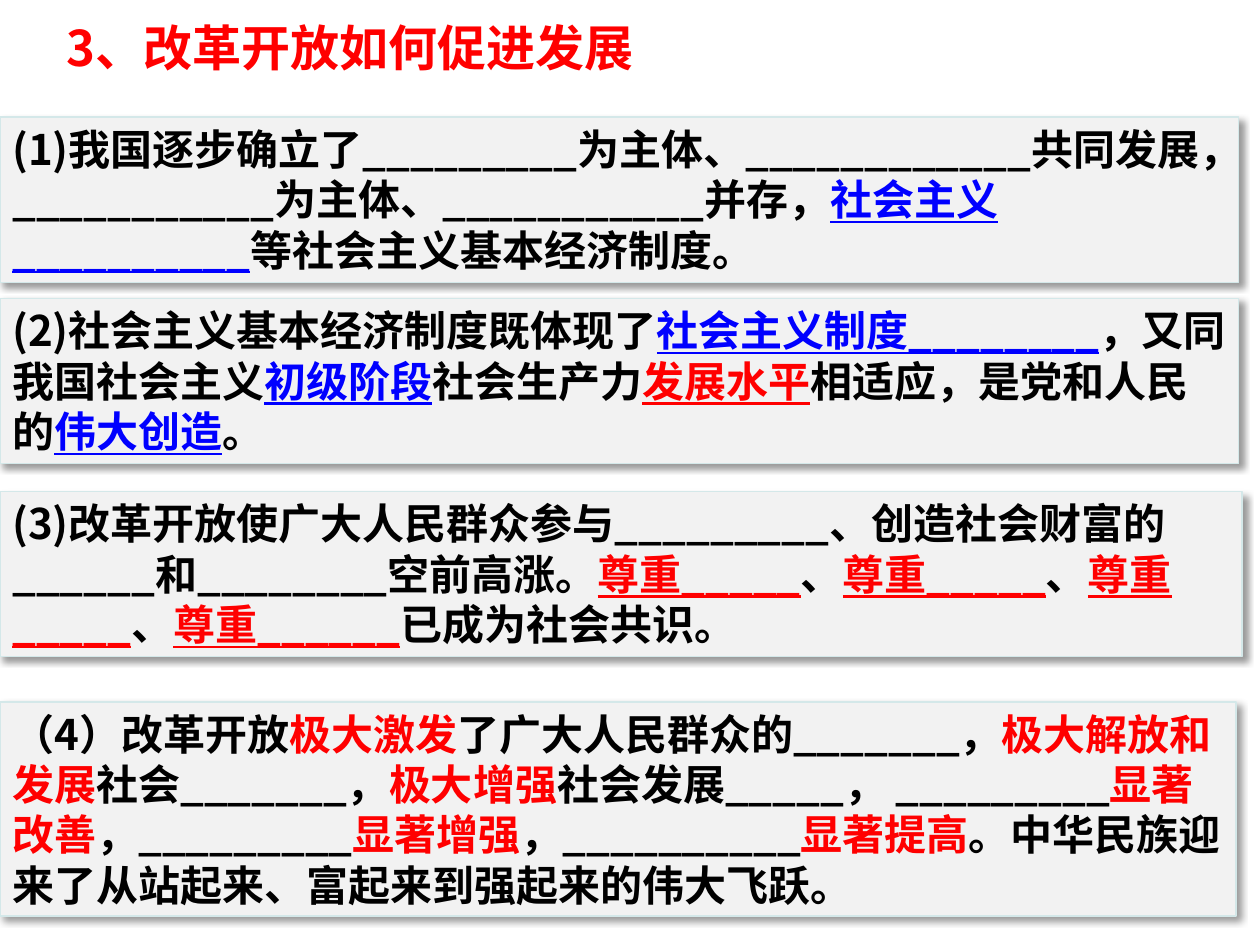
import pptx
import pptx.util
import pptx.dml.color
import pptx.enum.shapes
import pptx.enum.text
import pptx.oxml
import pptx.oxml.ns
from dataclasses import dataclass

Cm = pptx.util.Cm
Pt = pptx.util.Pt
RGB = pptx.dml.color.RGBColor.from_string
Align = pptx.enum.text.PP_ALIGN
Anchor = pptx.enum.text.MSO_ANCHOR


@dataclass(frozen=True)
class Theme:
    font: str = "Noto Sans CJK SC"
    title_size: float = 28
    body_size: float = 24
    line_pitch: float = 28.8
    border_width: float = 0.75
    panel: str = "F2F2F2"
    border: str = "D4E8E9"
    black: str = "000000"
    blue: str = "0000FF"
    red: str = "FF0000"


THEME = Theme()
PLAIN = (THEME.black, False)
RED = (THEME.red, False)
RED_LINE = (THEME.red, True)
BLUE_LINE = (THEME.blue, True)

PANELS = [
    ((0, 2.36, 24.97, 3.33), [
        ("(1)我国逐步确立了_________为主体、____________共同发展，"
         "___________为主体、___________并存，", PLAIN),
        ("社会主义__________", BLUE_LINE),
        ("等社会主义基本经济制度。", PLAIN),
    ]),
    ((0, 6.02, 24.97, 3.33), [
        ("(2)社会主义基本经济制度既体现了", PLAIN),
        ("社会主义制度________", BLUE_LINE),
        ("，又同我国社会主义", PLAIN),
        ("初级阶段", BLUE_LINE),
        ("社会生产力", PLAIN),
        ("发展水平", RED_LINE),
        ("相适应，是党和人民的", PLAIN),
        ("伟大创造", BLUE_LINE),
        ("。", PLAIN),
    ]),
    ((0, 9.91, 25.04, 3.33), [
        ("(3)改革开放使广大人民群众参与_________、创造社会财富的"
         "______和________空前高涨。", PLAIN),
        ("尊重_____", RED_LINE),
        ("、", PLAIN),
        ("尊重_____", RED_LINE),
        ("、", PLAIN),
        ("尊重_____", RED_LINE),
        ("、", PLAIN),
        ("尊重______", RED_LINE),
        ("已成为社会共识。", PLAIN),
    ]),
    ((0, 14.15, 24.92, 4.32), [
        ("（4）改革开放", PLAIN),
        ("极大激发", RED),
        ("了广大人民群众的_______，", PLAIN),
        ("极大解放和发展", RED),
        ("社会_______，", PLAIN),
        ("极大增强", RED),
        ("社会发展_____， _________", PLAIN),
        ("显著改善", RED),
        ("，_________", PLAIN),
        ("显著增强", RED),
        ("，__________", PLAIN),
        ("显著提高", RED),
        ("。中华民族迎来了从站起来、富起来到强起来的伟大飞跃。", PLAIN),
    ]),
]


class Deck:
    def __init__(self, theme):
        self.theme = theme
        self.prs = pptx.Presentation()
        self.prs.slide_width = Cm(25.4)
        self.prs.slide_height = Cm(19.05)
        self.s = self.prs.slides.add_slide(self.prs.slide_layouts[5])

    def apply(self, target, formats):
        for name, value in formats.items():
            setattr(target, name, value)

    def run(self, p, text, size, color, underline=False):
        r = p.add_run()
        r.text = text
        self.apply(r.font, {"name": self.theme.font, "size": Pt(size),
                            "bold": True, "underline": underline})
        r.font.color.rgb = RGB(color)
        ea = pptx.oxml.parse_xml(
            f'<a:ea {pptx.oxml.ns.nsdecls("a")} typeface="{self.theme.font}"/>')
        r.font._element.find(pptx.oxml.ns.qn("a:latin")).addnext(ea)

    def title(self, text, left, top, width, height):
        sp = self.s.shapes.title
        self.apply(sp, {"left": Cm(left), "top": Cm(top),
                        "width": Cm(width), "height": Cm(height)})
        tf = sp.text_frame
        self.apply(tf, {"word_wrap": True, "vertical_anchor": Anchor.MIDDLE})
        p = tf.paragraphs[0]
        p.alignment = Align.CENTER
        self.run(p, text, self.theme.title_size, self.theme.red)

    def shadow(self, sp):
        sp.shadow.inherit = False
        effects = sp._element.spPr.find(pptx.oxml.ns.qn("a:effectLst"))
        effects.append(pptx.oxml.parse_xml(
            f'<a:outerShdw {pptx.oxml.ns.nsdecls("a")} blurRad="{Pt(4)}" '
            f'dist="{Pt(3)}" dir="2700000" algn="tl" rotWithShape="0">'
            f'<a:srgbClr val="{self.theme.black}"><a:alpha val="40000"/>'
            '</a:srgbClr></a:outerShdw>'))

    def panel(self, box, pieces):
        sp = self.s.shapes.add_shape(
            pptx.enum.shapes.MSO_SHAPE.RECTANGLE, *map(Cm, box))
        sp.fill.solid()
        sp.fill.fore_color.rgb = RGB(self.theme.panel)
        sp.line.color.rgb = RGB(self.theme.border)
        sp.line.width = Pt(self.theme.border_width)
        self.shadow(sp)
        tf = sp.text_frame
        self.apply(tf, {"word_wrap": True, "vertical_anchor": Anchor.TOP})
        p = tf.paragraphs[0]
        self.apply(p, {"alignment": Align.LEFT,
                       "line_spacing": Pt(self.theme.line_pitch)})
        for text, (color, underline) in pieces:
            self.run(p, text, self.theme.body_size, color, underline)


def main():
    deck = Deck(THEME)
    deck.title("3、改革开放如何促进发展", -3.91, -0.89, 21.92, 3.68)
    for box, pieces in PANELS:
        deck.panel(box, pieces)
    deck.prs.save("out.pptx")


if __name__ == "__main__":
    main()
